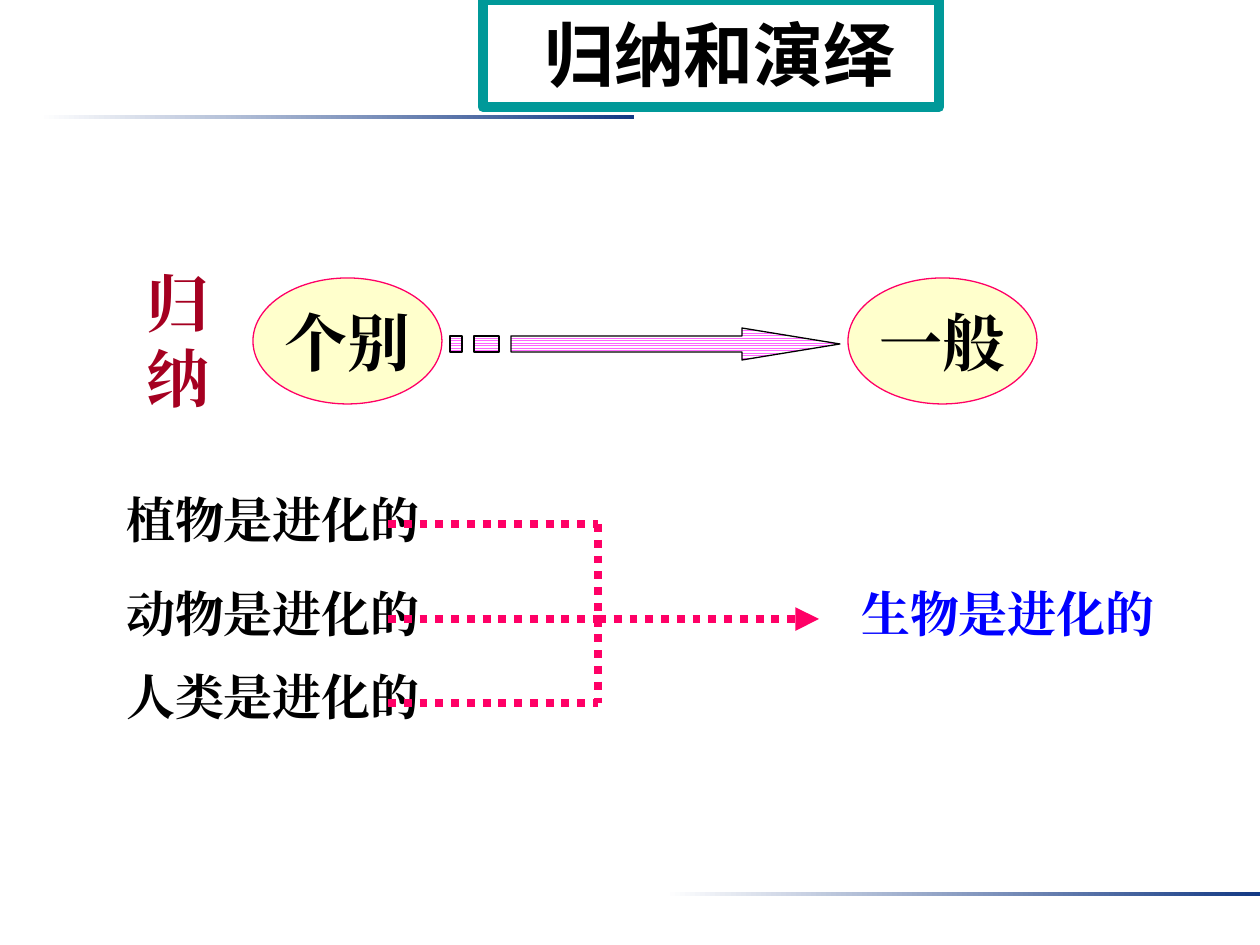
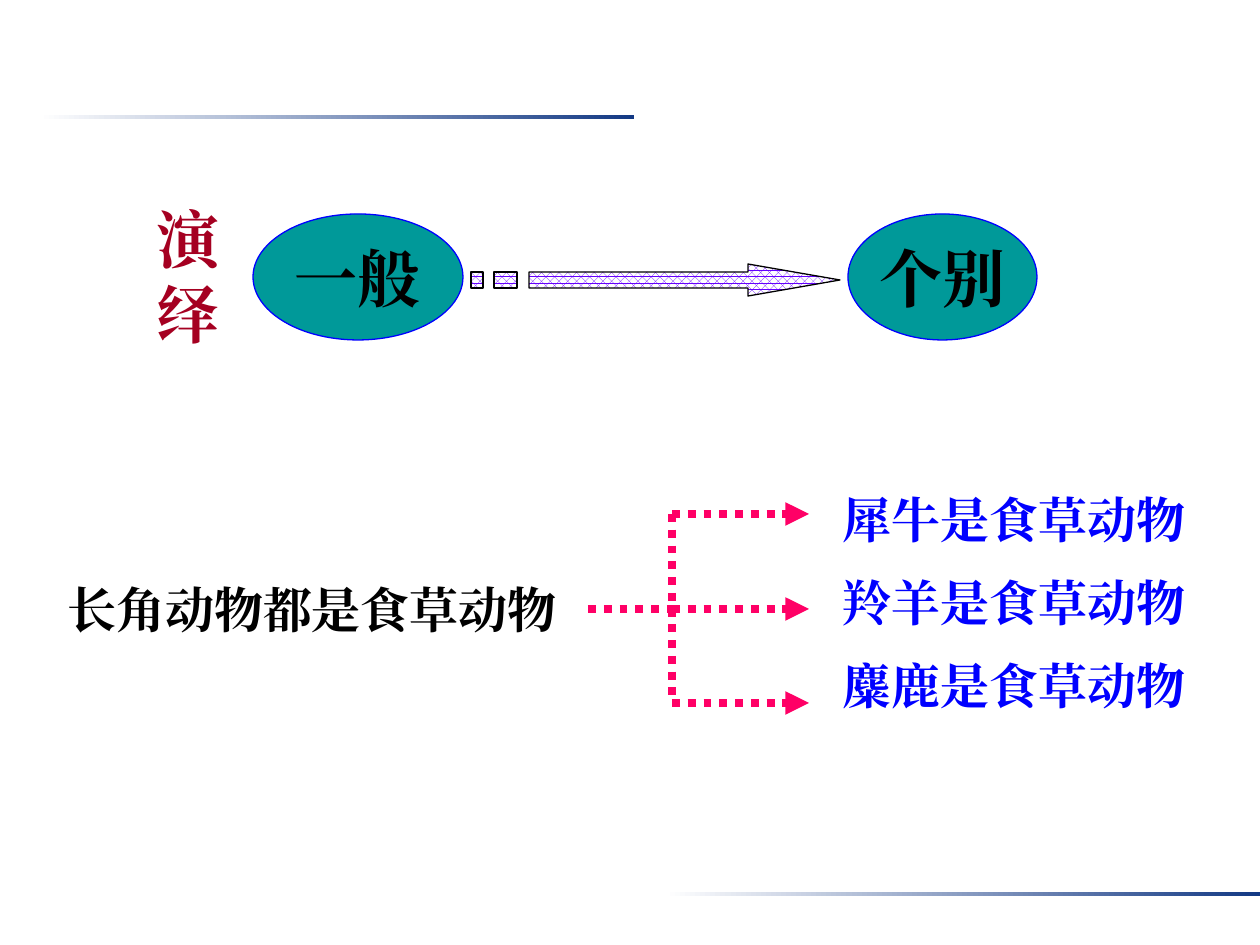
import lxml.etree
import pptx
import pptx.dml.color
import pptx.enum.dml
import pptx.enum.shapes
import pptx.enum.text
import pptx.oxml.ns
import pptx.util

EMU_PER_PX = 914400 / 126
LINE_HEIGHT = 1.2
BLACK, BLUE, PINK, TEAL = "000000", "0000FF", "FF0066", "009999"
CRIMSON, CREAM, WHITE, NAVY = "A50021", "FFFFCC", "FFFFFF", "133984"
BODY_FONT, TITLE_FONT = "Times New Roman", "Noto Sans CJK SC"
SHAPE = pptx.enum.shapes.MSO_SHAPE
ANCHOR = pptx.enum.text.MSO_ANCHOR
PATTERN = pptx.enum.dml.MSO_PATTERN


def px(length):
    return round(length * EMU_PER_PX)


def color(hex_code):
    return pptx.dml.color.RGBColor.from_string(hex_code)


def add_xml(parent, tag, **attributes):
    return lxml.etree.SubElement(parent, pptx.oxml.ns.qn(tag), attributes)


def outline(shape, hex_code, width):
    shape.line.color.rgb = color(hex_code)
    shape.line.width = pptx.util.Pt(width)


def write(shape, texts, size, hex_code, font=BODY_FONT, **frame_format):
    """Fill a shape with centred bold paragraphs, half a line apart."""
    frame = shape.text_frame
    for name, value in frame_format.items():
        setattr(frame, name, value)
    for index, text in enumerate(texts):
        para = frame.add_paragraph() if index else frame.paragraphs[0]
        para_format = {
            "alignment": pptx.enum.text.PP_ALIGN.CENTER,
            "line_spacing": pptx.util.Pt(size * LINE_HEIGHT),
            "space_before": pptx.util.Pt(size / 2 if index else 0),
        }
        for name, value in para_format.items():
            setattr(para, name, value)
        span = para.add_run()
        span.text = text
        font_format = {"size": pptx.util.Pt(size), "bold": True, "name": font}
        for name, value in font_format.items():
            setattr(span.font, name, value)
        span.font.color.rgb = color(hex_code)
        add_xml(span._r.get_or_add_rPr(), "a:ea", typeface=font)


def add_text(page, box, texts, size, hex_code):
    shape = page.shapes.add_textbox(*map(px, box))
    write(shape, texts, size, hex_code, word_wrap=True,
          vertical_anchor=ANCHOR.TOP)


def add_master_bands(deck, page):
    """Draw the two fading rules and hand them to the slide master."""
    for number, box in enumerate([(39, 115, 595, 4), (665, 892, 595, 4)]):
        band = page.shapes.add_shape(SHAPE.RECTANGLE, *map(px, box))
        band.shadow.inherit = False
        band.line.fill.background()
        band.fill.gradient()
        band.fill.gradient_angle = 0
        for stop, hex_code in zip(band.fill.gradient_stops, (WHITE, NAVY)):
            stop.color.rgb = color(hex_code)
        band.element.nvSpPr.cNvPr.set("id", str(100 + number))
        deck.slide_master.shapes.element.append(band.element)


def add_title(page, box, text):
    title = page.shapes.title
    title.left, title.top, title.width, title.height = map(px, box)
    outline(title, TEAL, 6)
    write(title, [text], 40, BLACK, TITLE_FONT, word_wrap=True,
          auto_size=pptx.enum.text.MSO_AUTO_SIZE.NONE,
          vertical_anchor=ANCHOR.TOP, margin_top=px(12), margin_bottom=px(6))


def add_ellipse(page, box, text, fill, line):
    ellipse = page.shapes.add_shape(SHAPE.OVAL, *map(px, box))
    ellipse.shadow.inherit = False
    ellipse.fill.solid()
    ellipse.fill.fore_color.rgb = color(fill)
    outline(ellipse, line, 0.75)
    write(ellipse, [text], 36, BLACK, word_wrap=False,
          vertical_anchor=ANCHOR.MIDDLE)


def add_striped_arrow(page, box, pattern, hex_code):
    """Two dashes and an arrow, on a grid of 32 columns and 4 rows."""
    left, top, width, height = box
    dashes = [[(start, 1), (start, 3), (end, 3), (end, 1)]
              for start, end in ((2, 4), (0, 1))]
    arrow = [(24, 0), (24, 1), (5, 1), (5, 3), (24, 3), (24, 4), (32, 2)]
    outlines = [[(left + column * width / 32, top + row * height / 4)
                 for column, row in points] for points in [arrow] + dashes]
    builder = page.shapes.build_freeform(*outlines[0][0], scale=EMU_PER_PX)
    builder.add_line_segments(outlines[0][1:], close=True)
    for points in outlines[1:]:
        builder.move_to(*points[0])
        builder.add_line_segments(points[1:], close=True)
    shape = builder.convert_to_shape()
    shape.shadow.inherit = False
    shape.fill.patterned()
    shape.fill.pattern = pattern
    shape.fill.fore_color.rgb = color(hex_code)
    shape.fill.back_color.rgb = color(WHITE)
    outline(shape, BLACK, 0.75)


def add_concept_row(page, box, label, label_left, concepts, first_width,
                    fill, line, pattern, stripe):
    """A stacked label, then an arrow from one concept to the other."""
    left, top, width, height = box
    last_width, gap = 189, 8
    arrow_left = left + first_width + gap
    arrow_right = left + width - last_width - gap
    add_striped_arrow(page, (arrow_left, top + 50, arrow_right - arrow_left, 32),
                      pattern, stripe)
    add_ellipse(page, (left, top, first_width, height), concepts[0], fill, line)
    add_ellipse(page, (left + width - last_width, top, last_width, height),
                concepts[1], fill, line)
    add_text(page, (label_left, top - 20, 84, 164), [label], 36, CRIMSON)


def add_dotted_line(page, start, end, arrow=False):
    line = page.shapes.add_connector(pptx.enum.shapes.MSO_CONNECTOR.STRAIGHT,
                                     *map(px, start + end))
    outline(line, PINK, 4.5)
    line.line.dash_style = pptx.enum.dml.MSO_LINE.ROUND_DOT
    if arrow:
        add_xml(line.line._get_or_add_ln(), "a:tailEnd", type="triangle")
    add_xml(line.element.spPr, "a:effectLst")


def add_bracket(page, in_left, trunk, out_right, in_rows, out_rows):
    """Dotted lines that run into a trunk and leave it as arrows."""
    rows = in_rows + out_rows
    for row in in_rows:
        add_dotted_line(page, (in_left, row), (trunk, row))
    add_dotted_line(page, (trunk, min(rows)), (trunk, max(rows)))
    for row in out_rows:
        add_dotted_line(page, (trunk, row), (out_right, row), arrow=True)


def build_induction(page):
    add_concept_row(page, (253, 278, 784, 126), "归纳", 134, ("个别", "一般"),
                    189, CREAM, PINK, PATTERN.NARROW_HORIZONTAL, "FF66FF")
    premises = {"植物是进化的": 483, "动物是进化的": 577, "人类是进化的": 660}
    for premise, top in premises.items():
        add_text(page, (84, top, 378, 72), [premise], 28, BLACK)
    add_text(page, (819, 577, 378, 72), ["生物是进化的"], 28, BLUE)
    add_bracket(page, 388, 598, 819, [524, 619, 703], [619])
    add_title(page, (483, 0, 456, 107), " 归纳和演绎")


def build_deduction(page):
    add_concept_row(page, (253, 214, 784, 126), "演绎", 144, ("一般", "个别"),
                    210, TEAL, BLUE, PATTERN.PERCENT_70, "6600FF")
    add_text(page, (44, 573, 536, 72), ["长角动物都是食草动物"], 28, BLACK)
    add_text(page, (809, 483, 410, 248),
             ["犀牛是食草动物", "羚羊是食草动物", "麋鹿是食草动物"], 28, BLUE)
    add_bracket(page, 588, 672, 809, [609], [514, 609, 703])


def main():
    deck = pptx.Presentation()
    deck.slide_width, deck.slide_height = px(1260), px(945)
    title_only, blank = deck.slide_layouts[5], deck.slide_layouts[6]
    induction = deck.slides.add_slide(title_only)
    add_master_bands(deck, induction)
    build_induction(induction)
    build_deduction(deck.slides.add_slide(blank))
    deck.save("out.pptx")


if __name__ == "__main__":
    main()
